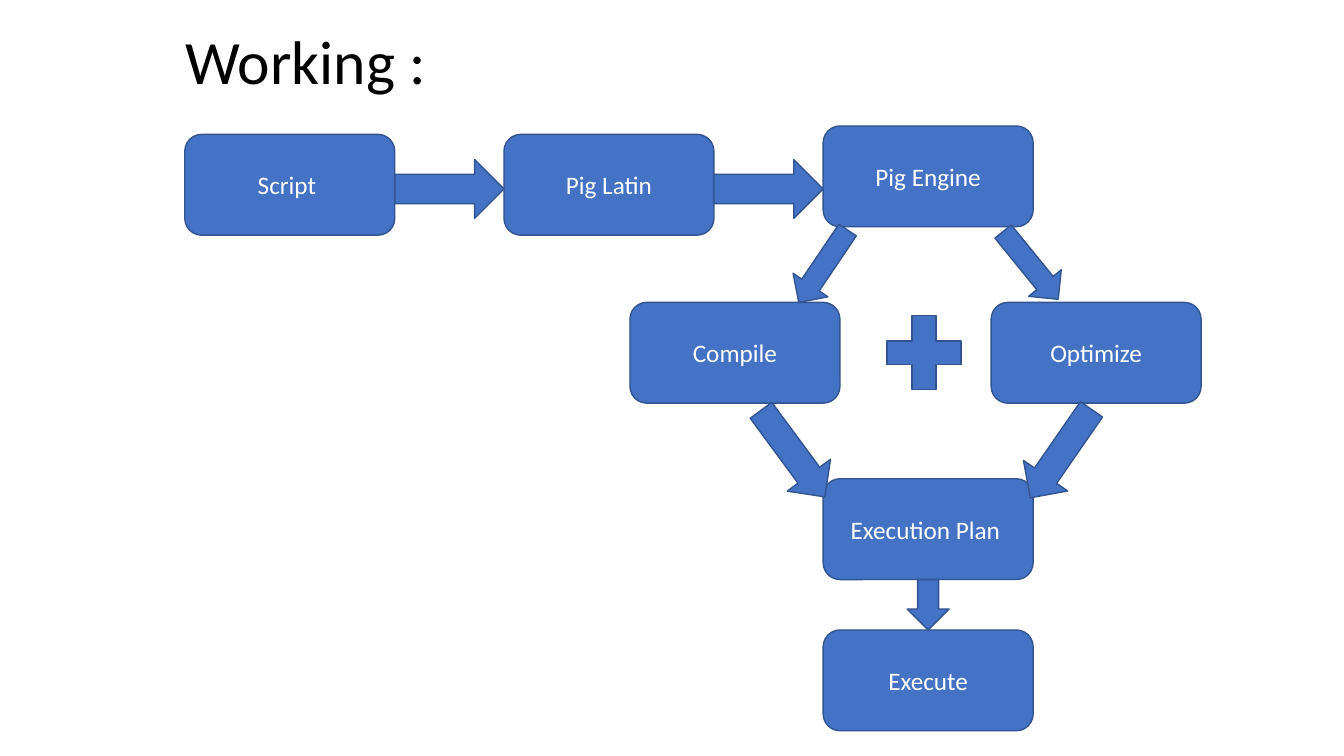
from dataclasses import dataclass

from pptx import Presentation
from pptx.dml.color import RGBColor
from pptx.enum.shapes import MSO_SHAPE
from pptx.enum.text import MSO_ANCHOR, MSO_AUTO_SIZE, PP_ALIGN
from pptx.util import Inches, Pt

BOX = MSO_SHAPE.ROUNDED_RECTANGLE
RIGHT = MSO_SHAPE.RIGHT_ARROW
DOWN = MSO_SHAPE.DOWN_ARROW
PLUS = MSO_SHAPE.MATH_PLUS
LEFT = PP_ALIGN.LEFT
CENTER = PP_ALIGN.CENTER
MIDDLE = MSO_ANCHOR.MIDDLE
FIXED = MSO_AUTO_SIZE.NONE

WIDTH = Inches(13.33)
HEIGHT = Inches(7.5)
COLS, ROWS = 160, 90
BOX_W, BOX_H = 25, 12


@dataclass(frozen=True)
class Theme:
    font: str = "Calibri"
    fill: str = "4472C4"
    edge: str = "325491"
    ink: str = "000000"
    light: str = "FFFFFF"
    head: int = 44
    body: int = 18
    line: int = 1


THEME = Theme()

STEPS = [
    ("Script ", 22, 16),
    ("Pig Latin", 60, 16),
    ("Pig Engine", 98, 15),
    ("Compile", 75, 36),
    ("Optimize", 118, 36),
    ("Execution Plan ", 98, 57),
    ("Execute", 98, 75),
]

ARROWS = [
    (RIGHT, 47, 19, 13, 7, 0),
    (RIGHT, 85, 19, 13, 7, 0),
    (DOWN, 95.5, 26.5, 5, 10.4, 34),
    (DOWN, 120.2, 26.4, 5, 10.4, 320.9),
    (DOWN, 91.2, 47.6, 6.4, 12.8, 323.6),
    (DOWN, 123.1, 47.6, 6.4, 12.8, 34.7),
    (DOWN, 108, 69, 5, 6, 0),
]


def grid(col, row, wide, high):
    return (
        round(WIDTH * col / COLS),
        round(HEIGHT * row / ROWS),
        round(WIDTH * wide / COLS),
        round(HEIGHT * high / ROWS),
    )


def write(shape, text, *, size=THEME.body, color=THEME.light, align=CENTER, space=1.0):
    frame = shape.text_frame
    frame.word_wrap = True
    frame.auto_size = FIXED
    frame.vertical_anchor = MIDDLE
    para = frame.paragraphs[0]
    para.alignment = align
    para.line_spacing = space
    run = para.add_run()
    run.text = text
    run.font.name = THEME.font
    run.font.size = Pt(size)
    run.font.color.rgb = RGBColor.from_string(color)


def title(slide, text):
    head = slide.shapes.title
    head.left, head.top, head.width, head.height = grid(20.9, 2.3, 128.4, 10.7)
    write(head, text, size=THEME.head, color=THEME.ink, align=LEFT, space=0.9)


def block(slide, kind, col, row, wide, high, turn=0):
    shape = slide.shapes.add_shape(kind, *grid(col, row, wide, high))
    shape.rotation = turn
    shape.shadow.inherit = False
    shape.fill.solid()
    shape.fill.fore_color.rgb = RGBColor.from_string(THEME.fill)
    shape.line.color.rgb = RGBColor.from_string(THEME.edge)
    shape.line.width = Pt(THEME.line)
    return shape


def step(slide, text, col, row):
    write(block(slide, BOX, col, row, BOX_W, BOX_H), text)


def main():
    deck = Presentation()
    deck.slide_width = WIDTH
    deck.slide_height = HEIGHT
    slide = deck.slides.add_slide(deck.slide_layouts[5])
    title(slide, "Working :")
    for item in STEPS:
        step(slide, *item)
    for arrow in ARROWS:
        block(slide, *arrow)
    block(slide, PLUS, 104, 36, 12, 12)
    deck.save("out.pptx")


if __name__ == "__main__":
    main()
